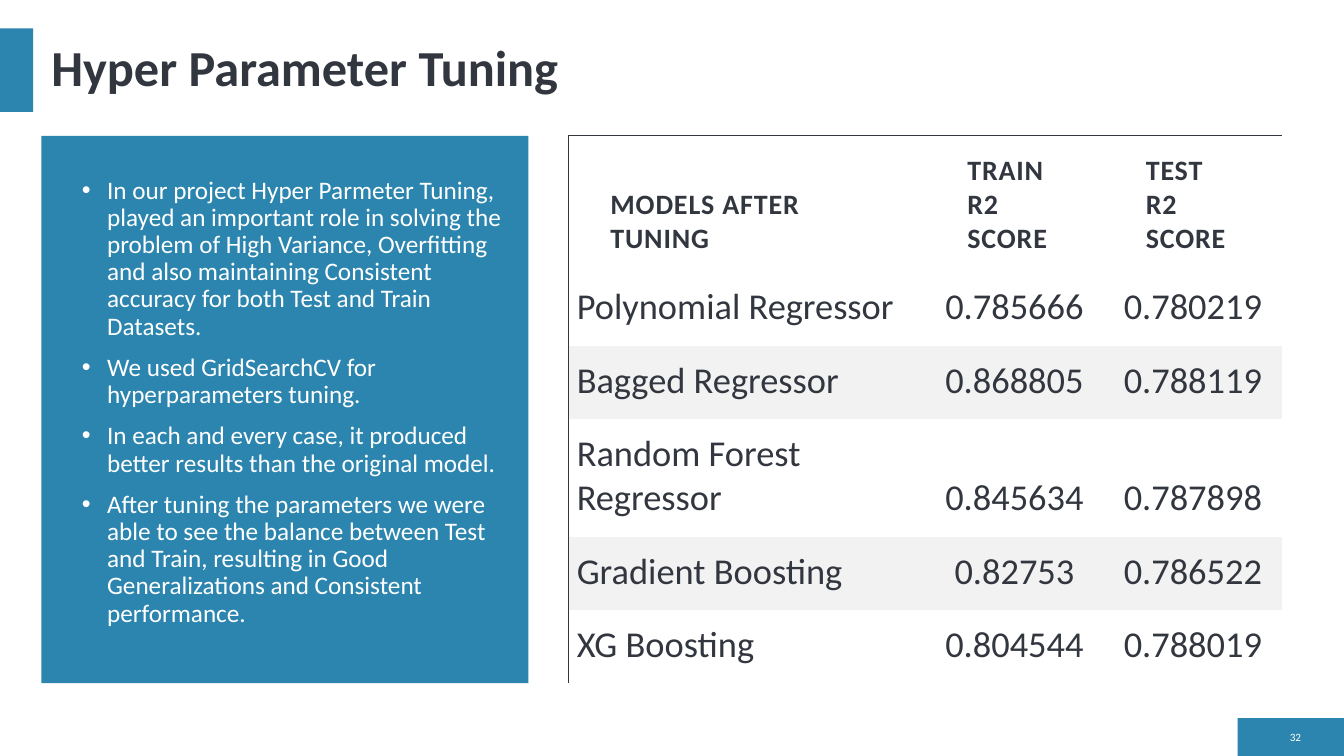
from lxml import etree
from pptx import Presentation
from pptx import util as u
from pptx.dml import color
from pptx.enum import shapes, text
from pptx.oxml import ns

Pt = u.Pt
BLUE = color.RGBColor(0x2C, 0x85, 0xAE)
INK = color.RGBColor(0x32, 0x36, 0x3F)
WHITE = color.RGBColor(0xFF, 0xFF, 0xFF)
BAND = color.RGBColor(0xF2, 0xF2, 0xF2)
FONT = "Calibri"
NO_STYLE = "{2D5ABB26-0587-4C30-8999-92F81FD0307C}"

FINDINGS = [
    "In our project Hyper Parmeter Tuning, played an important role in solving the problem of "
    "High Variance, Overfitting and also maintaining Consistent accuracy for both Test and Train Datasets.",
    "We used GridSearchCV for hyperparameters tuning.",
    "In each and every case, it produced better results than the original model.",
    "After tuning the parameters we were able to see the balance between Test and Train, resulting "
    "in Good Generalizations and Consistent performance.",
]
SCORES = [
    ("MODELS AFTER TUNING", "TRAIN R2 SCORE", "TEST R2 SCORE"),
    ("Polynomial Regressor", "0.785666", "0.780219"),
    ("Bagged Regressor", "0.868805", "0.788119"),
    ("Random Forest Regressor", "0.845634", "0.787898"),
    ("Gradient Boosting", "0.82753", "0.786522"),
    ("XG Boosting", "0.804544", "0.788019"),
]


def write(paragraph, words, size, ink=INK, bold=False, align=text.PP_ALIGN.LEFT,
          line=None, before=0, tracking=0):
    """Put formatted words into a paragraph."""
    paragraph.alignment = align
    paragraph.space_before = Pt(before)
    if line:
        paragraph.line_spacing = line
    run = paragraph.add_run()
    run.text = words
    run.font.name, run.font.size, run.font.bold = FONT, Pt(size), bold
    run.font.color.rgb = ink
    if tracking:
        run._r.get_or_add_rPr().set("spc", str(tracking))


def place(part, left, top, width, height):
    """Move a part into its box, in points."""
    part.left, part.top, part.width, part.height = map(Pt, (left, top, width, height))


def set_frame(frame, anchor):
    """Let a text frame wrap at a fixed size."""
    frame.word_wrap = True
    frame.auto_size = text.MSO_AUTO_SIZE.NONE
    frame.vertical_anchor = anchor


def add_panel(slide, left, top, width, height):
    """Draw a plain blue rectangle."""
    panel = slide.shapes.add_shape(shapes.MSO_SHAPE.RECTANGLE, *map(Pt, (left, top, width, height)))
    panel.shadow.inherit = False
    panel.fill.solid()
    panel.fill.fore_color.rgb = BLUE
    panel.line.fill.background()


def add_heading(slide, left, top, width, height):
    """Place the title with its accent at the slide's left edge."""
    add_panel(slide, 0, top, 23.7, height)
    heading = slide.shapes.title
    place(heading, left, top, width, height)
    set_frame(heading.text_frame, text.MSO_ANCHOR.MIDDLE)
    write(heading.text_frame.paragraphs[0], "Hyper Parameter Tuning", 36, bold=True, line=0.9)


def add_findings(slide, left, top, width, height):
    """Place the bulleted findings on a blue panel."""
    add_panel(slide, left, top, width, height)
    findings = slide.placeholders[1]
    place(findings, left + 17.3, top + 26, width - 27.5, height - 40)
    frame = findings.text_frame
    set_frame(frame, text.MSO_ANCHOR.TOP)
    for index, finding in enumerate(FINDINGS):
        paragraph = frame.add_paragraph() if index else frame.paragraphs[0]
        write(paragraph, finding, 18, ink=WHITE, line=0.9, before=10 if index else 0)
        properties = paragraph._p.get_or_add_pPr()
        properties.set("marL", str(Pt(22.5)))
        properties.set("indent", str(Pt(-18)))


def add_border(cell, side):
    """Rule one side of a cell."""
    border = etree.SubElement(cell._tc.get_or_add_tcPr(), ns.qn("a:ln" + side), w=str(Pt(1)))
    fill = etree.SubElement(border, ns.qn("a:solidFill"))
    etree.SubElement(fill, ns.qn("a:srgbClr"), val=str(INK))


def fill_cell(cell, words, row, column):
    """Write and format one score cell."""
    header = row == 0
    cell.vertical_anchor = text.MSO_ANCHOR.BOTTOM
    cell.margin_left = cell.margin_right = Pt(30 if header else 6)
    cell.margin_top, cell.margin_bottom = Pt(11.5 if header else 6), Pt(11.5)
    if column == 0:
        add_border(cell, "L")
    if header:
        add_border(cell, "T")
    cell.fill.solid()
    cell.fill.fore_color.rgb = BAND if row and row % 2 == 0 else WHITE
    centred = column and not header
    write(cell.text_frame.paragraphs[0], words, 20 if header else 26, bold=header,
          align=text.PP_ALIGN.CENTER if centred else text.PP_ALIGN.LEFT,
          tracking=60 if header else 0)


def add_scores(slide, left, top, width, height):
    """Place the table of scores, its spare height going to the plain rows."""
    frame = slide.shapes.add_table(len(SCORES), 3, *map(Pt, (left, top, width, height)))
    scores = frame.table
    scores.first_row = scores.horz_banding = False
    scores._tbl.tblPr.find(ns.qn("a:tableStyleId")).text = NO_STYLE
    for column, share in zip(scores.columns, (0.5, 0.25, 0.25)):
        column.width = Pt(width * share)
    tall = {0: 97.6, 3: 84.2}
    plain = (height - sum(tall.values())) / (len(SCORES) - len(tall))
    for row, entries in enumerate(SCORES):
        scores.rows[row].height = Pt(tall.get(row, plain))
        for column, words in enumerate(entries):
            fill_cell(scores.cell(row, column), words, row, column)


def add_page_number(slide, left, top, width, height):
    """Place the page number on its blue corner."""
    add_panel(slide, left, top, width, height)
    number = slide.shapes.add_textbox(*map(Pt, (left + 23, top + 5.5, 29.5, 16.5)))
    set_frame(number.text_frame, text.MSO_ANCHOR.MIDDLE)
    write(number.text_frame.paragraphs[0], "32", 8, ink=WHITE, align=text.PP_ALIGN.RIGHT, line=0.9)


def main():
    """Build and save the slide."""
    deck = Presentation()
    deck.slide_width, deck.slide_height = Pt(960), Pt(540)
    slide = deck.slides.add_slide(deck.slide_layouts[1])
    add_heading(slide, 29.5, 20.3, 907, 59.7)
    add_findings(slide, 29.5, 97, 348, 391)
    add_scores(slide, 406, 97, 510, 391)
    add_page_number(slide, 884, 513, 76, 27)
    body = slide.shapes._spTree
    for holder in list(slide.placeholders):
        body.append(holder._element)
    deck.save("out.pptx")


if __name__ == "__main__":
    main()
